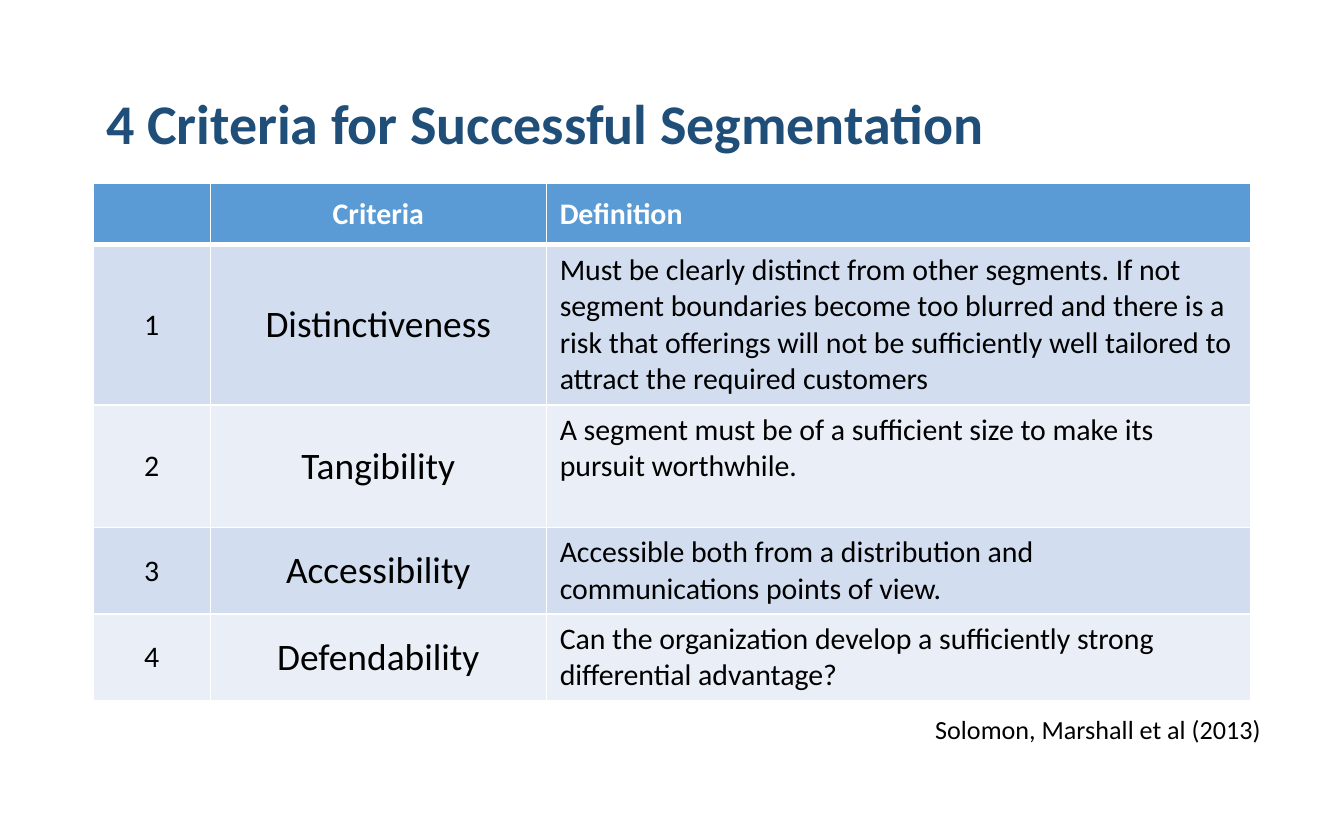
from lxml.etree import SubElement
from pptx import Presentation
from pptx.dml.color import RGBColor
from pptx.enum.text import MSO_ANCHOR as Anchor, PP_ALIGN as Align
from pptx.oxml.ns import qn
from pptx.util import Pt

NAVY = RGBColor(0x1F, 0x4E, 0x79)
BLUE = RGBColor(0x5B, 0x9B, 0xD5)
BAND_DARK = RGBColor(0xD2, 0xDE, 0xEF)
BAND_LIGHT = RGBColor(0xEA, 0xEF, 0xF7)
WHITE = RGBColor(0xFF, 0xFF, 0xFF)
BLACK = RGBColor(0, 0, 0)

LEFT, WIDTH = 49.7, 620.6
COLUMN_WIDTHS = [63, 180, 377.6]
ROW_HEIGHTS = [33, 85.7, 65.8, 46.1, 46.1]
HEADER = ["", "Criteria", "Definition"]
CRITERIA = [
    ("Distinctiveness", "Must be clearly distinct from other segments. If not segment "
     "boundaries become too blurred and there is a risk that offerings will not be "
     "sufficiently well tailored to attract the required customers"),
    ("Tangibility", "A segment must be of a sufficient size to make its pursuit worthwhile."),
    ("Accessibility", "Accessible both from a distribution and communications points of view."),
    ("Defendability", "Can the organization develop a sufficiently strong differential advantage?"),
]


class SlideBuilder:
    font_name = "Calibri"

    def __init__(self, page):
        self.page = page

    def add_text(self, frame, text, size, color, bold=False, align=Align.LEFT):
        para = frame.paragraphs[0]
        para.alignment = align
        span = para.add_run()
        span.text = text
        style = {"name": self.font_name, "size": Pt(size), "bold": bold}
        for name, value in style.items():
            setattr(span.font, name, value)
        span.font.color.rgb = color
        return para

    def title(self, text, left, top, width, height):
        box = self.page.shapes.title
        place = {"left": left, "top": top, "width": width, "height": height}
        for name, value in place.items():
            setattr(box, name, Pt(value))
        box.text_frame.vertical_anchor = Anchor.MIDDLE
        para = self.add_text(box.text_frame, text, 30, NAVY, bold=True)
        para.line_spacing = 0.9

    def borders(self, cell, bottom):
        properties = cell._tc.get_or_add_tcPr()
        for side, width in {"L": 1, "R": 1, "T": 1, "B": bottom}.items():
            line = SubElement(properties, qn(f"a:ln{side}"), w=str(Pt(width)))
            fill = SubElement(line, qn("a:solidFill"))
            SubElement(fill, qn("a:srgbClr"), val=str(WHITE))

    def table(self, rows, left, top):
        frame = self.page.shapes.add_table(
            len(rows), len(COLUMN_WIDTHS), Pt(left), Pt(top),
            Pt(sum(COLUMN_WIDTHS)), Pt(sum(ROW_HEIGHTS)))
        grid = frame.table
        for column, width in zip(grid.columns, COLUMN_WIDTHS):
            column.width = Pt(width)
        for row, height in zip(grid.rows, ROW_HEIGHTS):
            row.height = Pt(height)
        for r, row in enumerate(rows):
            for c, text in enumerate(row):
                self.cell(grid.cell(r, c), text, r, c)

    def cell(self, cell, text, row, column):
        is_header = row == 0
        is_definition = column == 2
        self.borders(cell, 3 if is_header else 1)
        cell.fill.solid()
        band = BAND_DARK if row % 2 else BAND_LIGHT
        cell.fill.fore_color.rgb = BLUE if is_header else band
        top_aligned = is_definition and not is_header
        cell.vertical_anchor = Anchor.TOP if top_aligned else Anchor.MIDDLE
        if text:
            self.add_text(
                cell.text_frame, text,
                size=20 if column == 1 and not is_header else 16,
                color=WHITE if is_header else BLACK,
                bold=is_header,
                align=Align.LEFT if is_definition else Align.CENTER)

    def citation(self, text, left, top, width, height):
        box = self.page.shapes.add_textbox(Pt(left), Pt(top), Pt(width), Pt(height))
        box.text_frame.word_wrap = True
        self.add_text(box.text_frame, text, 14, BLACK)


def main():
    deck = Presentation()
    deck.slide_width, deck.slide_height = Pt(720), Pt(450)
    builder = SlideBuilder(deck.slides.add_slide(deck.slide_layouts[5]))
    builder.title("4 Criteria for Successful Segmentation", LEFT, 24, WIDTH, 87)
    body = [(str(number), *row) for number, row in enumerate(CRITERIA, 1)]
    builder.table([HEADER, *body], LEFT, 98.2)
    builder.citation("Solomon, Marshall et al (2013)", 493.9, 378.7, 210.2, 24.2)
    deck.save("out.pptx")


if __name__ == "__main__":
    main()
